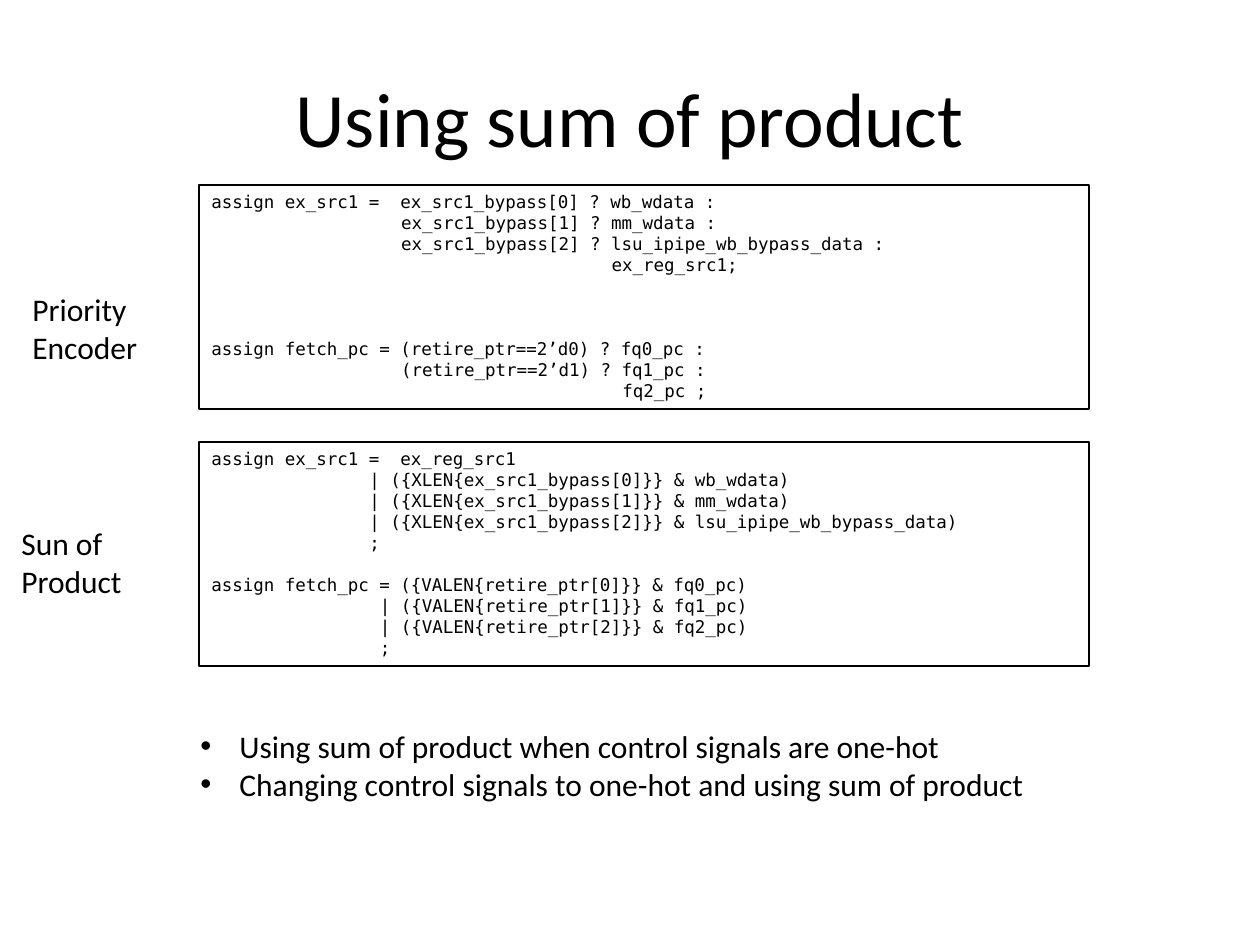
from dataclasses import dataclass

from pptx import Presentation
from pptx import util as u
from pptx.dml.color import RGBColor
from pptx.enum import shapes, text
from lxml import etree

PX = 914400 // 126  # EMU in one px
W, H = 1260, 945


@dataclass(frozen=True)
class Theme:
    ink: RGBColor = RGBColor(0, 0, 0)
    sans: str = "Calibri"
    mono: str = "DejaVu Sans Mono"
    head: int = 44
    body: int = 18
    code: int = 10
    pitch: float = 0.602  # mono column width, in ems
    lead: float = 1.2  # code line height, in ems
    rule: float = 0.75


class Deck:
    def __init__(self, theme):
        self.theme = theme
        self.prs = Presentation()
        self.prs.slide_width, self.prs.slide_height = W * PX, H * PX
        self.slide = self.prs.slides.add_slide(self.prs.slide_layouts[6])

    def fill(self, frame, lines, size, font=None, align=text.PP_ALIGN.LEFT):
        """Fill a frame with one paragraph a line and return the paragraphs."""
        frame.word_wrap = True
        paras = []
        for n, line in enumerate(lines):
            para = frame.add_paragraph() if n else frame.paragraphs[0]
            para.alignment = align
            run = para.add_run()
            run.text = line
            run.font.size = u.Pt(size)
            run.font.name = font or self.theme.sans
            run.font.color.rgb = self.theme.ink
            paras.append(para)
        return paras

    def box(self, *rect):
        return self.slide.shapes.add_textbox(*(v * PX for v in rect)).text_frame

    def title(self, line, *rect):
        frame = self.box(*rect)
        frame.vertical_anchor = text.MSO_ANCHOR.MIDDLE
        self.fill(frame, [line], self.theme.head, align=text.PP_ALIGN.CENTER)

    def label(self, lines, *rect):
        self.fill(self.box(*rect), lines, self.theme.body)

    def list(self, lines, *rect):
        hang = 39 * PX
        for para in self.fill(self.box(*rect), lines, self.theme.body):
            props = para._p.get_or_add_pPr()
            props.set("marL", str(hang))
            props.set("indent", str(-hang))
            ns = props.nsmap["a"]
            etree.SubElement(props, f"{{{ns}}}buFont", typeface="Arial")
            etree.SubElement(props, f"{{{ns}}}buChar", char="•")

    def code(self, parts, gap, *rect):
        """Draw framed code: rows are (column, words), parts lie gap rows apart."""
        t = self.theme
        shape = self.slide.shapes.add_shape(
            shapes.MSO_SHAPE.RECTANGLE, *(v * PX for v in rect))
        shape.shadow.inherit = False
        shape.fill.background()
        shape.line.color.rgb = t.ink
        shape.line.width = u.Pt(t.rule)
        frame = shape.text_frame
        frame.vertical_anchor = text.MSO_ANCHOR.TOP
        rows = [row for part in parts for row in part]
        paras = self.fill(frame, [words for _, words in rows], t.code, t.mono)
        for para, (col, _) in zip(paras, rows):
            inset = u.Pt(col * t.pitch * t.code)
            para._p.get_or_add_pPr().set("marL", str(int(inset)))
        paras[len(parts[0])].space_before = u.Pt(gap * t.lead * t.code)


def main():
    deck = Deck(Theme())
    deck.title("Using sum of product", 63, 38, W - 2 * 63, 158)

    left, wide, high = 199, 890, 224
    deck.code([
        [(0, "assign ex_src1 =  ex_src1_bypass[0] ? wb_wdata :"),
         (18, "ex_src1_bypass[1] ? mm_wdata :"),
         (18, "ex_src1_bypass[2] ? lsu_ipipe_wb_bypass_data :"),
         (38, "ex_reg_src1;")],
        [(0, "assign fetch_pc = (retire_ptr==2’d0) ? fq0_pc :"),
         (18, "(retire_ptr==2’d1) ? fq1_pc :"),
         (39, "fq2_pc ;")],
    ], 3, left, 185, wide, high)
    deck.code([
        [(0, "assign ex_src1 =  ex_reg_src1"),
         (15, "| ({XLEN{ex_src1_bypass[0]}} & wb_wdata)"),
         (15, "| ({XLEN{ex_src1_bypass[1]}} & mm_wdata)"),
         (15, "| ({XLEN{ex_src1_bypass[2]}} & lsu_ipipe_wb_bypass_data)"),
         (15, ";")],
        [(0, "assign fetch_pc = ({VALEN{retire_ptr[0]}} & fq0_pc)"),
         (16, "| ({VALEN{retire_ptr[1]}} & fq1_pc)"),
         (16, "| ({VALEN{retire_ptr[2]}} & fq2_pc)"),
         (16, ";")],
    ], 1, left, 442, wide, high)

    deck.label(["Priority", "Encoder"], 20, 284, 179, 89)
    deck.label(["Sun of", "Product"], 9, 518, 179, 89)
    deck.list([
        "Using sum of product when control signals are one-hot",
        "Changing control signals to one-hot and using sum of product",
    ], 188, 721, 893, 127)
    deck.prs.save("out.pptx")


if __name__ == "__main__":
    main()
